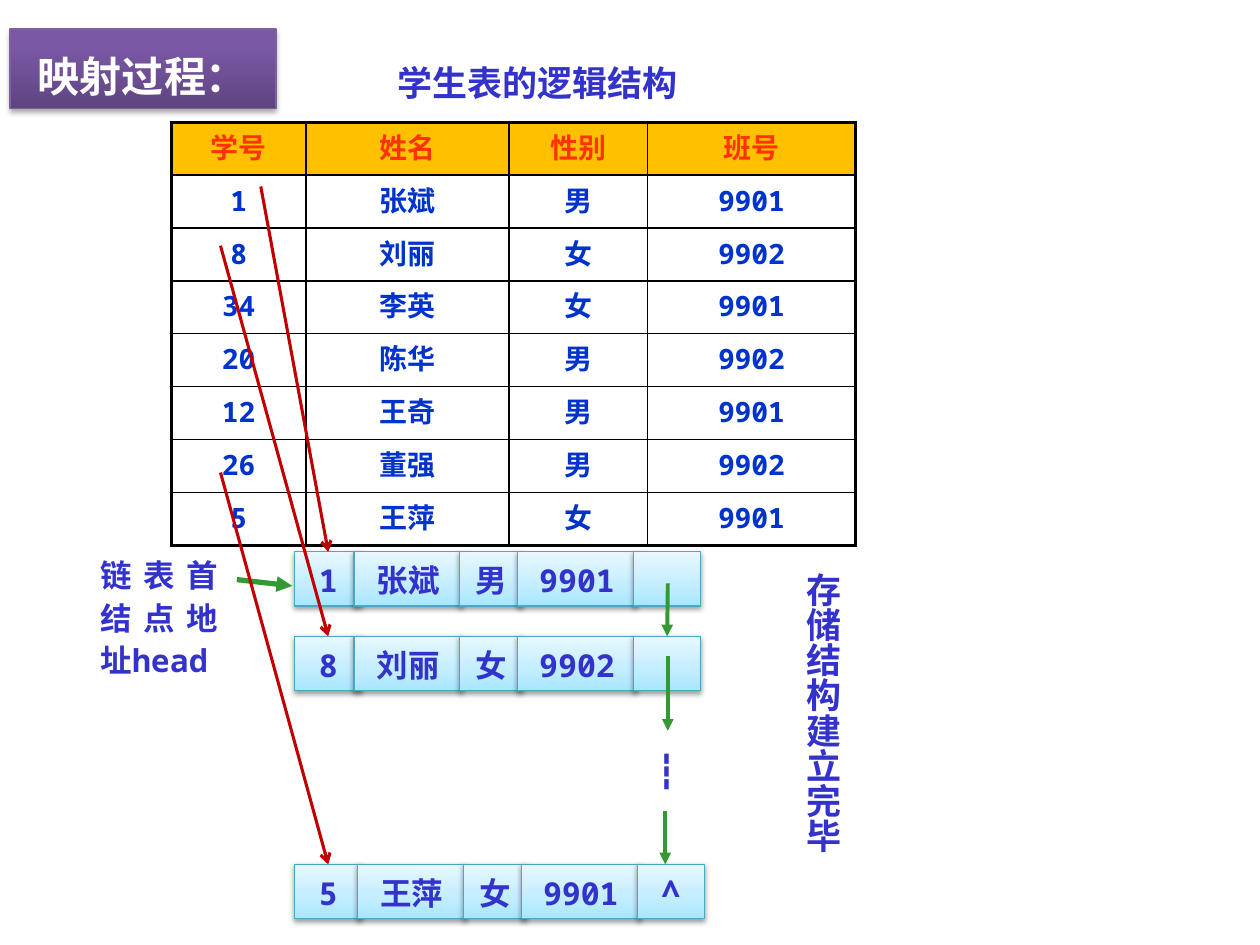
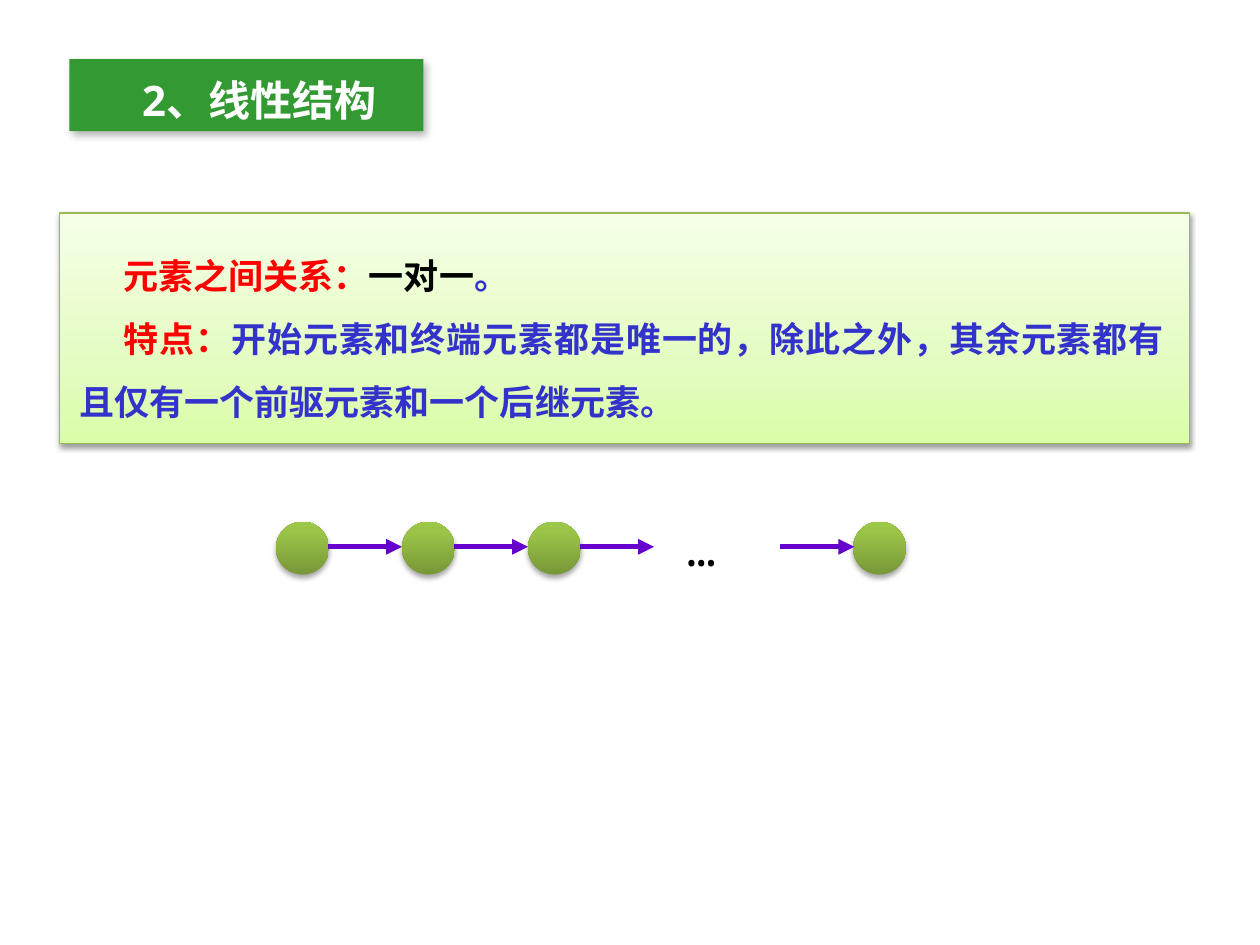
from itertools import pairwise

from pptx import Presentation
from pptx.dml.color import RGBColor
from pptx.enum import shapes, text
from pptx.oxml import parse_xml
from pptx.oxml.ns import nsdecls, qn
from pptx.util import Inches, Pt

FONT = "Noto Sans Mono"
INK = RGBColor(0x33, 0x33, 0xCC)
TABLE_INK = RGBColor(0x00, 0x33, 0xCC)
HEADER_INK = RGBColor(0xFF, 0x33, 0x00)
HEADER_FILL = RGBColor(0xFF, 0xC0, 0x00)
WHITE = RGBColor(0xFF, 0xFF, 0xFF)
BLACK = RGBColor(0x00, 0x00, 0x00)
RED = RGBColor(0xFF, 0x00, 0x00)
GREEN = RGBColor(0x33, 0x99, 0x33)
DARK_RED = RGBColor(0xC0, 0x00, 0x00)
VIOLET = RGBColor(0x66, 0x00, 0xCC)
RECORD_EDGE = RGBColor(0x46, 0xAA, 0xC5)
BANNER_EDGE = RGBColor(0x7D, 0x60, 0xA0)
PANEL_EDGE = RGBColor(0x98, 0xB9, 0x55)

# Gradient stops as (percent, colour), running from bottom to top
RECORD_STOPS = [(0, "A7E6FF"), (35, "C1EDFF"), (100, "E7F8FF")]
BANNER_STOPS = [(0, "5F4480"), (80, "7B58A6"), (100, "7C57A8")]
PANEL_STOPS = [(0, "DAFDA7"), (35, "E4FCC2"), (100, "F5FFE7")]
NODE_STOPS = [(0, "779737"), (80, "9BC348"), (100, "9DC746")]

# Shadows as (opacity percent, blur pt, distance pt, direction degrees)
SOFT_SHADOW = (38, 3.1, 1.6, 90)
DEEP_SHADOW = (35, 3.1, 1.8, 90)
SLANTED_SHADOW = (30, 4.5, 2.6, 53)

STUDENTS = [
    ("学号", "姓名", "性别", "班号"),
    ("1", "张斌", "男", "9901"),
    ("8", "刘丽", "女", "9902"),
    ("34", "李英", "女", "9901"),
    ("20", "陈华", "男", "9902"),
    ("12", "王奇", "男", "9901"),
    ("26", "董强", "男", "9902"),
    ("5", "王萍", "女", "9901"),
]
COLUMN_WIDTHS = [1.07, 1.61, 1.1, 1.65]
ROW_HEIGHT = 0.42

# Stored records: student row, link text, top, shift of the fields after the first
RECORDS = [(1, "", 4.38, 0), (2, "", 5.05, 0), (7, "∧", 6.86, 0.03)]
FIELDS = [(2.34, 0.53), (2.81, 0.86), (3.65, 0.5), (4.11, 0.94), (5.03, 0.53)]
RECORD_HEIGHT = 0.43
MAPPING_STARTS = [(2.07, 1.48), (1.75, 1.95), (1.75, 3.75)]

RELATION = [
    [("元素之间关系：", RED), ("一对一", BLACK), ("。", INK)],
    [("特点：", RED),
     ("开始元素和终端元素都是唯一的，除此之外，其余元素都有且仅有一个前驱元素和一个后继元素。", INK)],
]
NODE_LEFTS = [2.19, 3.19, 4.19, 6.77]
NODE_SIZE = 0.42
LINK_STARTS = [2.6, 3.6, 4.6, 6.19]
LINK_LENGTH = 0.59


def write(frame, paragraphs, size=18, color=INK, bold=True, align=text.PP_ALIGN.CENTER,
          spacing=1.0, indent=0):
    """Fill a text frame; each paragraph is a string or a list of (text, colour) runs."""
    if isinstance(paragraphs, str):
        paragraphs = [paragraphs]
    for number, runs in enumerate(paragraphs):
        paragraph = frame.add_paragraph() if number else frame.paragraphs[0]
        paragraph.alignment = align
        paragraph.line_spacing = spacing
        paragraph.space_before = Pt(0)
        if indent:
            paragraph._p.get_or_add_pPr().set("indent", str(Inches(indent)))
        for words, ink in [(runs, color)] if isinstance(runs, str) else runs:
            run = paragraph.add_run()
            run.text = words
            font = run.font
            font.size, font.bold, font.name = Pt(size), bold, FONT
            font.color.rgb = ink
            run._r.get_or_add_rPr().append(
                parse_xml(f'<a:ea {nsdecls("a")} typeface="{FONT}"/>'))


def set_frame(shape, insets=(0.1, 0.05, 0.1, 0.05)):
    frame = shape.text_frame
    frame.word_wrap = True
    frame.auto_size = text.MSO_AUTO_SIZE.NONE
    frame.vertical_anchor = text.MSO_ANCHOR.TOP
    (frame.margin_left, frame.margin_top,
     frame.margin_right, frame.margin_bottom) = map(Inches, insets)
    return frame


def paint(shape, fill, shadow, edge=None):
    """Fill with a colour or a list of gradient stops, then add edge and shadow."""
    properties = shape._element.spPr
    if isinstance(fill, RGBColor):
        shape.fill.solid()
        shape.fill.fore_color.rgb = fill
    else:
        shape.fill.gradient()
        stops = "".join(f'<a:gs pos="{at * 1000}"><a:srgbClr val="{color}"/></a:gs>'
                        for at, color in fill)
        gradient = properties.find(qn("a:gradFill"))
        properties.replace(gradient, parse_xml(
            f'<a:gradFill {nsdecls("a")} rotWithShape="1"><a:gsLst>{stops}</a:gsLst>'
            '<a:lin ang="16200000" scaled="0"/></a:gradFill>'))
    if edge is None:
        shape.line.fill.background()
    else:
        shape.line.color.rgb = edge
        shape.line.width = Pt(0.75)
    shape.shadow.inherit = False
    opacity, blur, distance, direction = shadow
    properties.find(qn("a:effectLst")).append(parse_xml(
        f'<a:outerShdw {nsdecls("a")} blurRad="{Pt(blur)}" dist="{Pt(distance)}" '
        f'dir="{direction * 60000}" rotWithShape="0"><a:srgbClr val="000000">'
        f'<a:alpha val="{opacity * 1000}"/></a:srgbClr></a:outerShdw>'))


def add_block(slide, place, fill, shadow, edge=None, kind=shapes.MSO_SHAPE.RECTANGLE):
    block = slide.shapes.add_shape(kind, *map(Inches, place))
    paint(block, fill, shadow, edge)
    return block


def add_label(slide, place, words, insets=(0.1, 0.05, 0.1, 0.05), **fmt):
    label = slide.shapes.add_textbox(*map(Inches, place))
    write(set_frame(label, insets), words, **fmt)
    return label


def add_arrow(slide, start, end, color, width, head="triangle", target=None):
    """Draw an arrow; with a target, it is joined to the middle of the target's top."""
    arrow = slide.shapes.add_connector(
        shapes.MSO_CONNECTOR.STRAIGHT, *map(Inches, (*start, *end)))
    if target is not None:
        arrow.end_connect(target, 0)
    arrow.line.color.rgb = color
    arrow.line.width = Pt(width)
    arrow.line._get_or_add_ln().append(
        parse_xml(f'<a:tailEnd {nsdecls("a")} type="{head}"/>'))
    arrow._element.spPr.append(parse_xml(f'<a:effectLst {nsdecls("a")}/>'))


def add_titled_slide(deck, words, place, fill, shadow, edge=None,
                     insets=(0.1, 0.05, 0.1, 0.05), spacing=1.0):
    slide = deck.slides.add_slide(deck.slide_layouts[5])
    title = slide.shapes.title
    title.left, title.top, title.width, title.height = map(Inches, place)
    paint(title, fill, shadow, edge)
    write(set_frame(title, insets), words, size=24, color=WHITE, spacing=spacing)
    return slide


def set_borders(cell, widths):
    properties = cell._tc.get_or_add_tcPr()
    for position, (side, width) in enumerate(widths.items()):
        properties.insert(position, parse_xml(
            f'<a:{side} {nsdecls("a")} w="{Pt(width)}"><a:solidFill>'
            f'<a:srgbClr val="000000"/></a:solidFill></a:{side}>'))


def add_student_table(slide):
    rows, columns = len(STUDENTS), len(COLUMN_WIDTHS)
    table = slide.shapes.add_table(
        rows, columns, Inches(1.36), Inches(0.97),
        Inches(sum(COLUMN_WIDTHS)), Inches(rows * ROW_HEIGHT)).table
    table.first_row = table.horz_banding = False
    for column, width in zip(table.columns, COLUMN_WIDTHS):
        column.width = Inches(width)
    for r, student in enumerate(STUDENTS):
        for c, value in enumerate(student):
            cell = table.cell(r, c)
            if r == 0:
                cell.fill.solid()
                cell.fill.fore_color.rgb = HEADER_FILL
            else:
                cell.fill.background()
            outer = {"lnL": c == 0, "lnR": c == columns - 1,
                     "lnT": r == 0, "lnB": r == rows - 1}
            set_borders(cell, {side: 2.25 if edge else 1 for side, edge in outer.items()})
            write(cell.text_frame, value, size=16, color=TABLE_INK if r else HEADER_INK)


def add_record(slide, row, link, top, shift):
    """Draw one stored record and return its first and last field."""
    blocks = []
    for number, (value, (left, width)) in enumerate(zip((*STUDENTS[row], link), FIELDS)):
        place = (left + (shift if number else 0), top, width, RECORD_HEIGHT)
        block = add_block(slide, place, RECORD_STOPS, SOFT_SHADOW, RECORD_EDGE)
        if value:
            write(set_frame(block, (0.1, 0.04, 0.1, 0)), value,
                  spacing=1.0 if value == link else 1.12)
        blocks.append(block)
    return blocks[0], blocks[-1]


def build_mapping_slide(deck):
    slide = add_titled_slide(deck, "映射过程：", (0.08, 0.23, 2.11, 0.63), BANNER_STOPS,
                             DEEP_SHADOW, BANNER_EDGE, spacing=1.3)
    add_label(slide, (2.86, 0.34, 2.81, 0.54), "学生表的逻辑结构", size=20, spacing=1.3)
    ends = [add_record(slide, *record) for record in RECORDS]
    add_student_table(slide)

    add_label(slide, (0.7, 4.38, 1.13, 1.01), "链表首结点地址head", (0.1, 0, 0.1, 0),
              align=text.PP_ALIGN.JUSTIFY, spacing=1.12)
    add_arrow(slide, (1.88, 4.6), (2.32, 4.65), GREEN, 3)
    add_arrow(slide, (5.3, 4.63), (5.3, 5.05), GREEN, 2.25, target=ends[1][1])
    add_arrow(slide, (5.3, 5.21), (5.3, 5.8), GREEN, 2.25)
    add_label(slide, (4.98, 5.95, 0.62, 0.33), "┇", (0.1, 0.08, 0.1, 0), spacing=0.8)
    add_arrow(slide, (5.28, 6.44), (5.28, 6.86), GREEN, 2.25)

    finished = add_label(slide, (6.21, 4.45, 0.47, 2.58), "存储结构建立完毕",
                         size=20, spacing=0.8)
    finished.text_frame._txBody.bodyPr.set("vert", "eaVert")
    for start, (key, _), record in zip(MAPPING_STARTS, ends, RECORDS):
        add_arrow(slide, start, (2.6, record[2]), DARK_RED, 1.75, "arrow", key)


def build_linear_slide(deck):
    slide = add_titled_slide(deck, "2、线性结构", (0.55, 0.47, 2.81, 0.57), GREEN,
                             SLANTED_SHADOW, insets=(0.3, 0.12, 0.1, 0.05))
    panel = add_block(slide, (0.47, 1.69, 8.97, 1.83), PANEL_STOPS, SOFT_SHADOW, PANEL_EDGE)
    write(set_frame(panel, (0.16, 0.16, 0.2, 0.16)), RELATION, size=20,
          align=text.PP_ALIGN.JUSTIFY, spacing=1.5, indent=0.35)
    for left in NODE_LEFTS:
        add_block(slide, (left, 4.14, NODE_SIZE, NODE_SIZE), NODE_STOPS, DEEP_SHADOW,
                  kind=shapes.MSO_SHAPE.OVAL)
    for start in LINK_STARTS:
        add_arrow(slide, (start, 4.34), (start + LINK_LENGTH, 4.34), VIOLET, 3)
    add_label(slide, (5.35, 4.06, 0.75, 0.57), "…", size=28, color=BLACK, bold=False,
              align=text.PP_ALIGN.LEFT)


def main():
    deck = Presentation()
    deck.slide_width, deck.slide_height = Inches(10), Inches(7.5)
    build_mapping_slide(deck)
    build_linear_slide(deck)
    deck.save("out.pptx")


if __name__ == "__main__":
    main()
